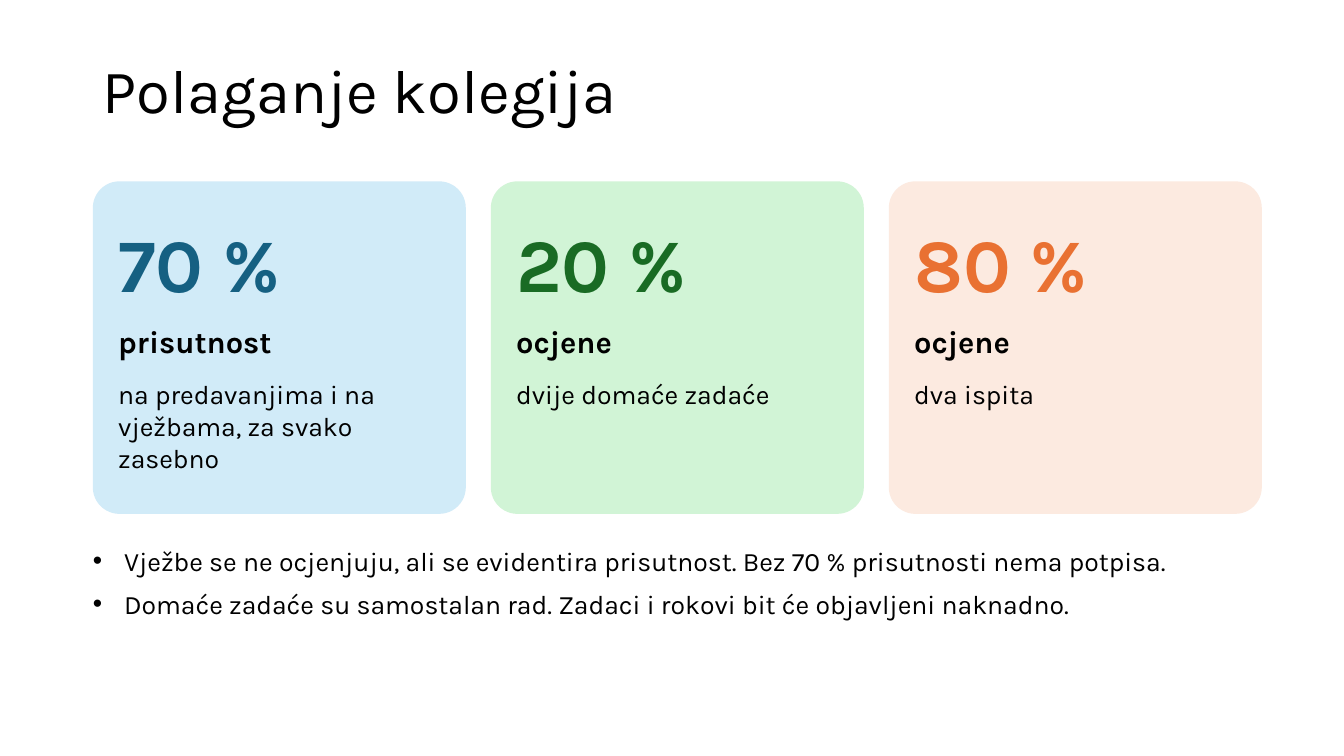
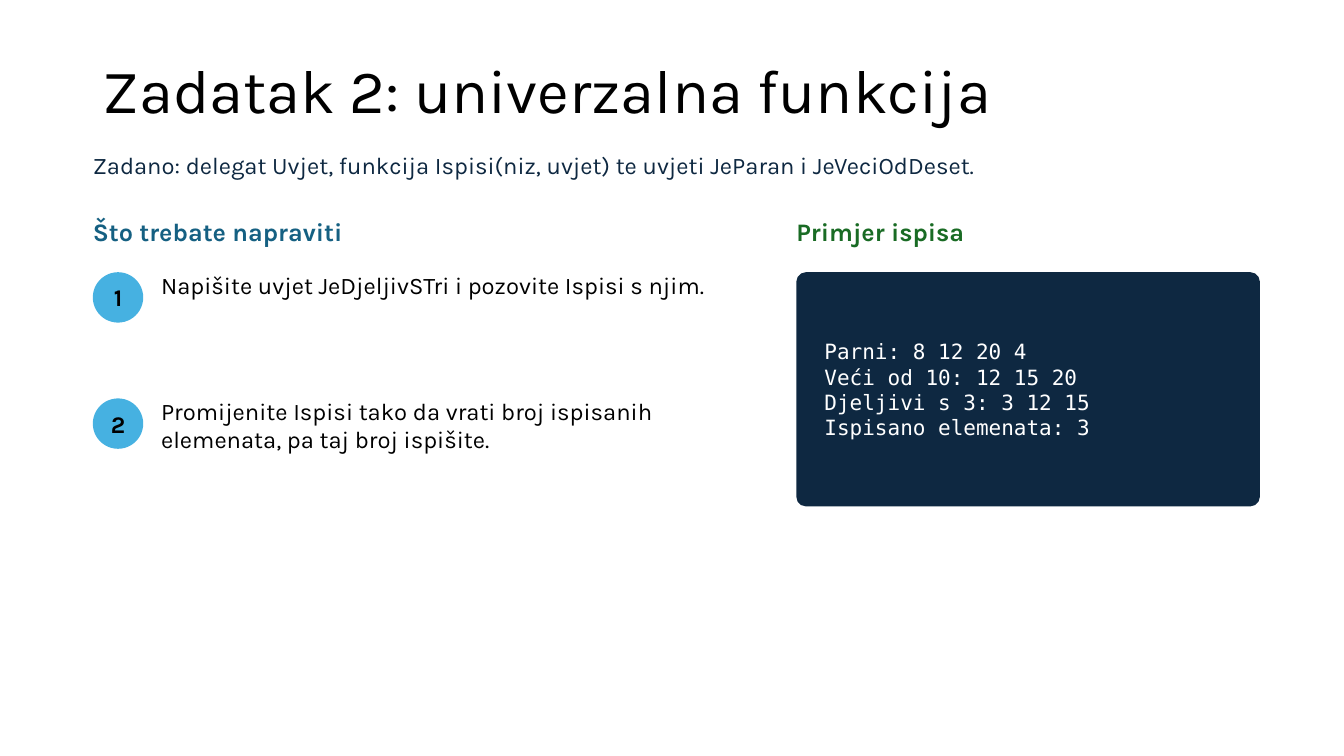
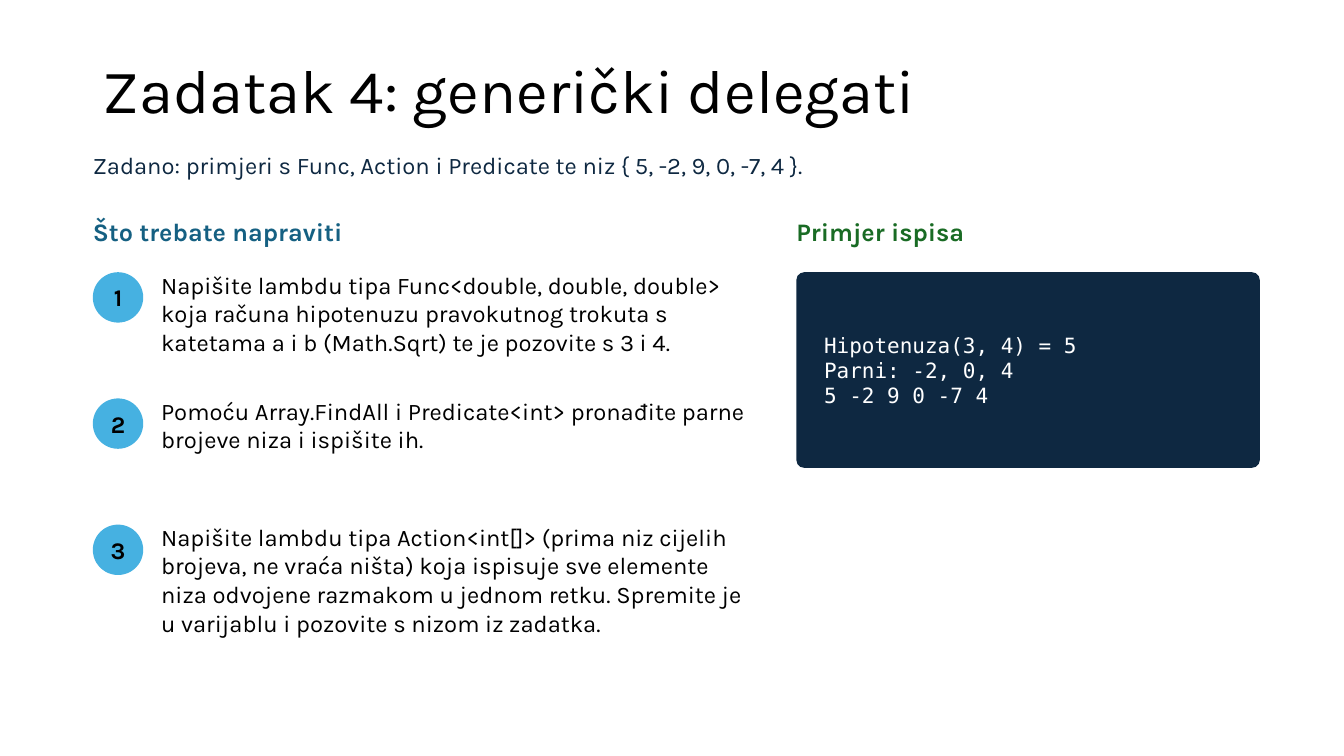
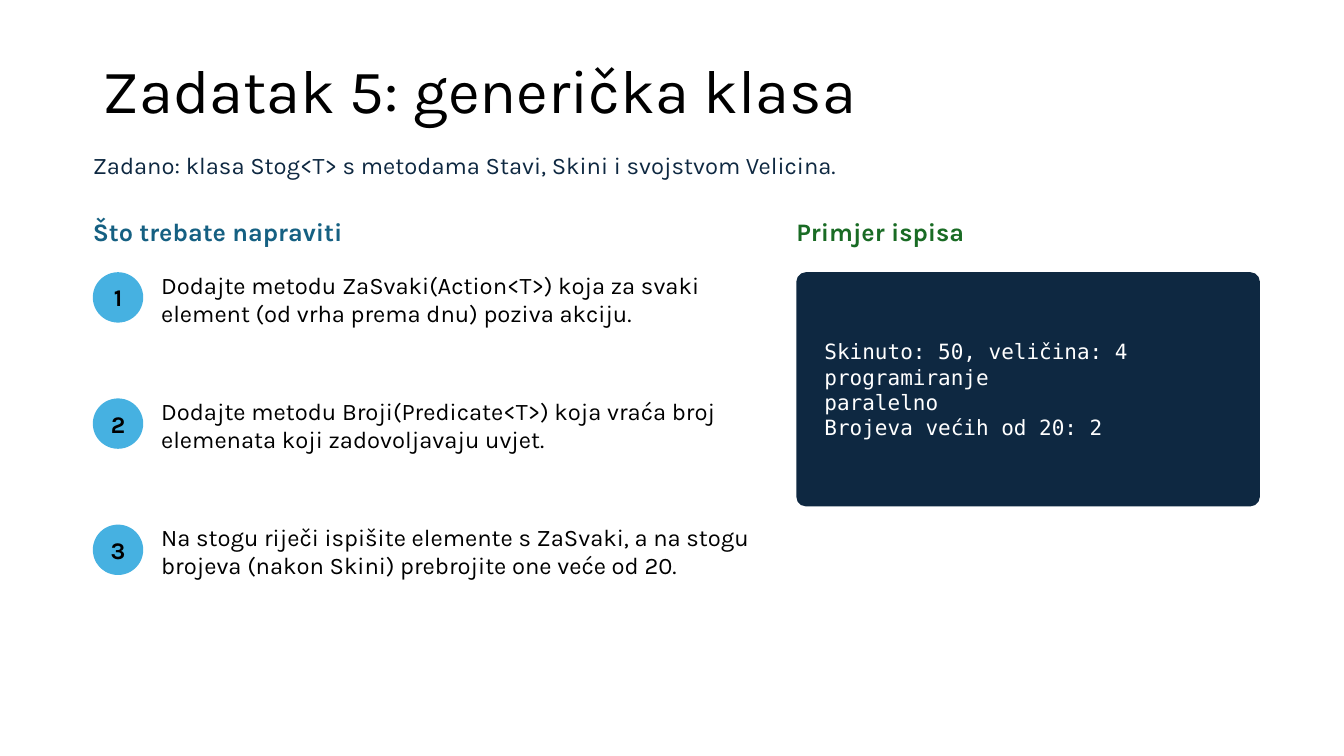
from dataclasses import dataclass

from lxml import etree
from pptx import Presentation
from pptx.dml import color
from pptx.enum import shapes, text
from pptx.oxml import ns
from pptx.util import Cm, Pt

# Shared look
COLORS = {
    "black": "000000", "white": "FFFFFF", "navy": "0E2841",
    "blue": "156082", "green": "196B24", "orange": "E97132", "sky": "46B1E1",
    "pale_blue": "D1EBF8", "pale_green": "D1F4D6", "pale_orange": "FCEAE0",
}
FONT = "Karla"
CODE_FONT = "DejaVu Sans Mono"
LEFT = 2.34
FULL_WIDTH = 29.46


@dataclass(frozen=True)
class Style:
    size: float
    color: str = "black"
    bold: bool = False
    font: str = FONT


@dataclass(frozen=True)
class Box:
    left: float
    top: float
    width: float
    height: float

    def lengths(self) -> tuple:
        return Cm(self.left), Cm(self.top), Cm(self.width), Cm(self.height)


@dataclass(frozen=True)
class Card:
    share: str
    label: str
    detail: str
    color: str
    fill: str


@dataclass(frozen=True)
class Task:
    title: str
    given: str
    steps: tuple[str, ...]
    output: tuple[str, ...]


TITLE = Style(44)
BODY = Style(17)
NOTE = Style(19)
CODE = Style(15, "white", font=CODE_FONT)

# Content
CARDS = (
    Card("70 %", "prisutnost", "na predavanjima i na vježbama, za svako zasebno",
         "blue", "pale_blue"),
    Card("20 %", "ocjene", "dvije domaće zadaće", "green", "pale_green"),
    Card("80 %", "ocjene", "dva ispita", "orange", "pale_orange"),
)
NOTES = (
    "Vježbe se ne ocjenjuju, ali se evidentira prisutnost. Bez 70 % prisutnosti nema potpisa.",
    "Domaće zadaće su samostalan rad. Zadaci i rokovi bit će objavljeni naknadno.",
)
TASKS = (
    Task(
        "Zadatak 2: univerzalna funkcija",
        "Zadano: delegat Uvjet, funkcija Ispisi(niz, uvjet) te uvjeti JeParan i JeVeciOdDeset.",
        ("Napišite uvjet JeDjeljivSTri i pozovite Ispisi s njim.",
         "Promijenite Ispisi tako da vrati broj ispisanih elemenata, pa taj broj ispišite."),
        ("Parni: 8 12 20 4", "Veći od 10: 12 15 20",
         "Djeljivi s 3: 3 12 15", "Ispisano elemenata: 3"),
    ),
    Task(
        "Zadatak 4: generički delegati",
        "Zadano: primjeri s Func, Action i Predicate te niz { 5, -2, 9, 0, -7, 4 }.",
        ("Napišite lambdu tipa Func<double, double, double> koja računa hipotenuzu "
         "pravokutnog trokuta s katetama a i b (Math.Sqrt) te je pozovite s 3 i 4.",
         "Pomoću Array.FindAll i Predicate<int> pronađite parne brojeve niza i ispišite ih.",
         "Napišite lambdu tipa Action<int[]> (prima niz cijelih brojeva, ne vraća ništa) "
         "koja ispisuje sve elemente niza odvojene razmakom u jednom retku. "
         "Spremite je u varijablu i pozovite s nizom iz zadatka."),
        ("Hipotenuza(3, 4) = 5", "Parni: -2, 0, 4", "5 -2 9 0 -7 4"),
    ),
    Task(
        "Zadatak 5: generička klasa",
        "Zadano: klasa Stog<T> s metodama Stavi, Skini i svojstvom Velicina.",
        ("Dodajte metodu ZaSvaki(Action<T>) koja za svaki element "
         "(od vrha prema dnu) poziva akciju.",
         "Dodajte metodu Broji(Predicate<T>) koja vraća broj elemenata "
         "koji zadovoljavaju uvjet.",
         "Na stogu riječi ispišite elemente s ZaSvaki, a na stogu brojeva "
         "(nakon Skini) prebrojite one veće od 20."),
        ("Skinuto: 50, veličina: 4", "programiranje", "paralelno", "Brojeva većih od 20: 2"),
    ),
)


# Text helpers
def rgb(name: str) -> color.RGBColor:
    return color.RGBColor.from_string(COLORS[name])


def add_run(p, content: str, style: Style) -> None:
    r = p.add_run()
    r.text = content
    r.font.name = style.font
    r.font.size = Pt(style.size)
    r.font.bold = style.bold
    r.font.color.rgb = rgb(style.color)


def write(tf, lines: tuple[str, ...], style: Style, align=text.PP_ALIGN.LEFT) -> None:
    for i, line in enumerate(lines):
        p = tf.add_paragraph() if i else tf.paragraphs[0]
        p.alignment = align
        add_run(p, line, style)


def set_insets(tf, left: float, top: float, right: float, bottom: float) -> None:
    tf.margin_left, tf.margin_top = Cm(left), Cm(top)
    tf.margin_right, tf.margin_bottom = Cm(right), Cm(bottom)


def add_bullet(p, indent: float) -> None:
    p_pr = p._p.get_or_add_pPr()
    p_pr.set("marL", str(Cm(indent)))
    p_pr.set("indent", str(-Cm(indent)))
    etree.SubElement(p_pr, ns.qn("a:buFont")).set("typeface", "Arial")
    etree.SubElement(p_pr, ns.qn("a:buChar")).set("char", "•")


# Shape helpers
def add_text(s, box: Box, lines: tuple[str, ...], style: Style,
             anchor=text.MSO_ANCHOR.TOP):
    tf = s.shapes.add_textbox(*box.lengths()).text_frame
    tf.word_wrap = True
    tf.auto_size = text.MSO_AUTO_SIZE.SHAPE_TO_FIT_TEXT
    tf.vertical_anchor = anchor
    set_insets(tf, 0, 0, 0, 0)
    write(tf, lines, style)
    return tf


def add_filled(s, kind, box: Box, fill: str, radius: float | None = None):
    sp = s.shapes.add_shape(kind, *box.lengths())
    sp.shadow.inherit = False
    sp.fill.solid()
    sp.fill.fore_color.rgb = rgb(fill)
    sp.line.fill.background()
    if radius is not None:
        sp.adjustments[0] = radius
    sp.text_frame.vertical_anchor = text.MSO_ANCHOR.MIDDLE
    return sp


def add_slide(prs, title: str):
    s = prs.slides.add_slide(prs.slide_layouts[5])
    sp = s.shapes.title
    sp.left, sp.top, sp.width, sp.height = Box(LEFT, 1.02, 29.21, 2.69).lengths()
    tf = sp.text_frame
    tf.word_wrap = True
    tf.auto_size = text.MSO_AUTO_SIZE.NONE
    tf.vertical_anchor = text.MSO_ANCHOR.MIDDLE
    write(tf, (title,), TITLE)
    tf.paragraphs[0].line_spacing = 0.9
    return s


# Grading slide
def add_card(s, card: Card, left: float) -> None:
    add_filled(s, shapes.MSO_SHAPE.ROUNDED_RECTANGLE,
               Box(left, 4.57, 9.4, 8.38), card.fill, 0.08)
    x, width = left + 0.64, 8.13
    add_text(s, Box(x, 5.08, width, 3.05), (card.share,),
             Style(54, card.color, True), text.MSO_ANCHOR.MIDDLE)
    add_text(s, Box(x, 8.13, width, 1.27), (card.label,), Style(22, bold=True))
    add_text(s, Box(x, 9.53, width, 3.05), (card.detail,), NOTE)


def build_grading(prs) -> None:
    s = add_slide(prs, "Polaganje kolegija")
    for i, card in enumerate(CARDS):
        add_card(s, card, LEFT + i * 10.03)
    tf = add_text(s, Box(LEFT, 13.72, FULL_WIDTH, 4.06), NOTES, NOTE)
    for p in tf.paragraphs:
        p.space_after = Pt(8)
        add_bullet(p, 0.79)


# Task slides
def add_step(s, number: int, step: str) -> None:
    top = 6.86 + (number - 1) * 3.18
    badge = add_filled(s, shapes.MSO_SHAPE.OVAL, Box(LEFT, top, 1.27, 1.27), "sky")
    set_insets(badge.text_frame, 0.13, 0.05, 0.13, 0.05)
    write(badge.text_frame, (str(number),), Style(17, bold=True), text.PP_ALIGN.CENTER)
    add_text(s, Box(4.06, top - 0.05, 14.99, 3.05), (step,), BODY)


def build_task(prs, task: Task) -> None:
    s = add_slide(prs, task.title)
    add_text(s, Box(LEFT, 3.81, FULL_WIDTH, 1.27), (task.given,), Style(17, "navy"))
    add_text(s, Box(LEFT, 5.46, 16.76, 1.02), ("Što trebate napraviti",),
             Style(18, "blue", True))
    for number, step in enumerate(task.steps, 1):
        add_step(s, number, step)

    panel_left, panel_width = 20.07, 11.68
    add_text(s, Box(panel_left, 5.46, panel_width, 1.02), ("Primjer ispisa",),
             Style(18, "green", True))
    panel_height = 2.02 + 0.97 * len(task.output)
    panel = add_filled(s, shapes.MSO_SHAPE.ROUNDED_RECTANGLE,
                       Box(panel_left, 6.86, panel_width, panel_height), "navy", 0.04)
    set_insets(panel.text_frame, 0.64, 0.13, 0.25, 0.13)
    write(panel.text_frame, task.output, CODE)


def main() -> None:
    prs = Presentation()
    prs.slide_width, prs.slide_height = Cm(33.87), Cm(19.05)
    build_grading(prs)
    for task in TASKS:
        build_task(prs, task)
    prs.save("out.pptx")


if __name__ == "__main__":
    main()
